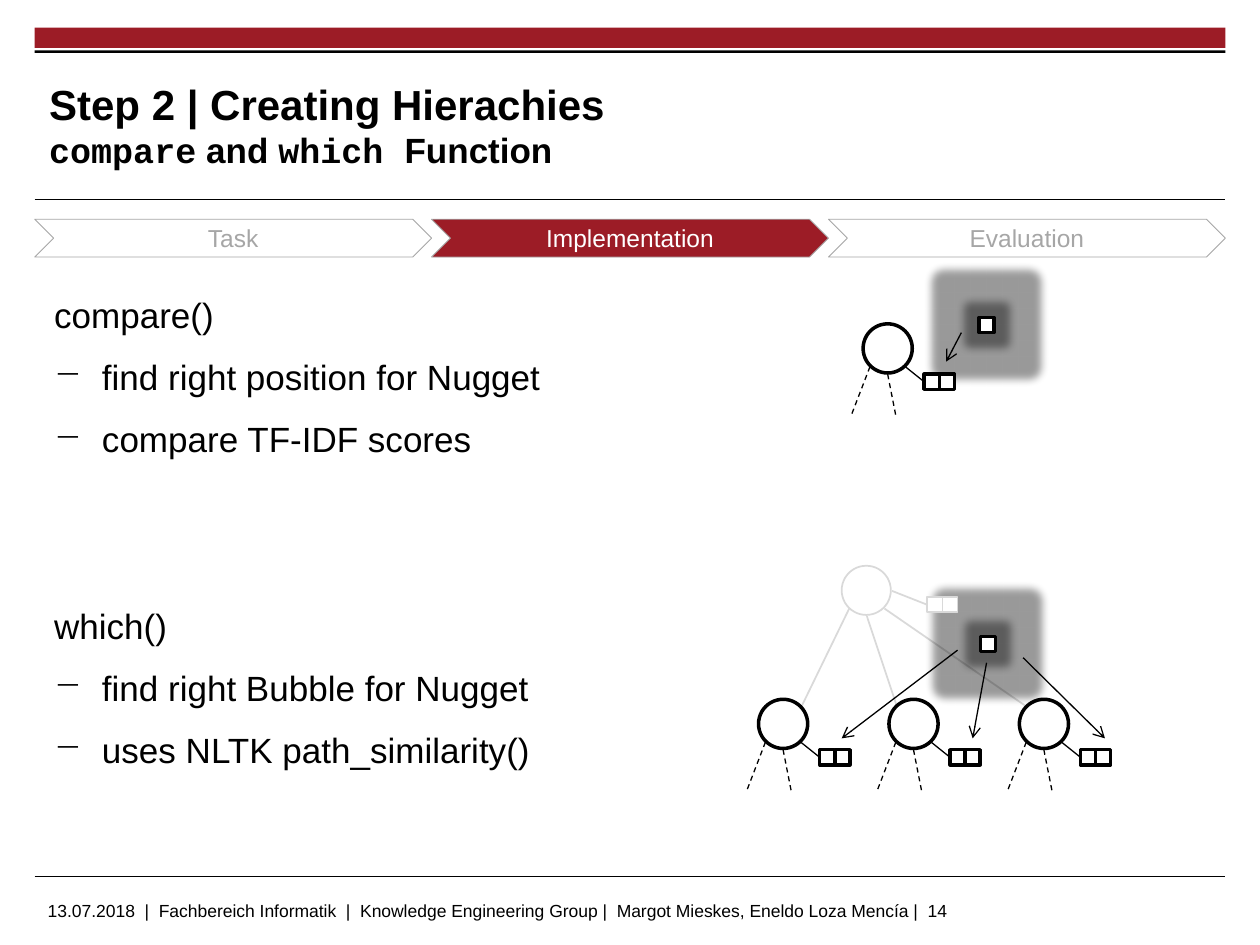
from dataclasses import dataclass

from lxml import etree
from pptx import Presentation
from pptx.dml.color import RGBColor
from pptx.enum.dml import MSO_LINE
from pptx.enum.shapes import MSO_CONNECTOR, MSO_SHAPE
from pptx.enum.text import MSO_ANCHOR, MSO_AUTO_SIZE, PP_ALIGN
from pptx.oxml.ns import qn
from pptx.util import Inches, Pt

RECT, ROUND = MSO_SHAPE.RECTANGLE, MSO_SHAPE.ROUNDED_RECTANGLE
OVAL, CHEVRON = MSO_SHAPE.OVAL, MSO_SHAPE.CHEVRON
STRAIGHT, DASH = MSO_CONNECTOR.STRAIGHT, MSO_LINE.DASH
MIDDLE, TOP = MSO_ANCHOR.MIDDLE, MSO_ANCHOR.TOP
LEFT, CENTER = PP_ALIGN.LEFT, PP_ALIGN.CENTER
NO_FIT = MSO_AUTO_SIZE.NONE

COLS, ROWS = 100, 75
NODE, LEAF = 3.9, 1.2  # diameter of a circle, side of a small square


@dataclass
class Theme:
    ink: str = "000000"
    paper: str = "FFFFFF"
    red: str = "9C1C26"
    grey: str = "A6A6A6"
    pale: str = "D9D9D9"
    sans: str = "Arial"
    mono: str = "Courier New"
    head: int = 24
    body: int = 20
    step: int = 14
    foot: int = 10
    hair: float = 0.75
    bold: float = 2


def add(parent, tag, **attrs):
    return etree.SubElement(parent, qn(tag), attrs)


class Board:
    """Draws on one slide; lengths are cells of a 100 by 75 grid."""

    def __init__(self, deck, theme):
        self.theme = theme
        self.slide = deck.slides.add_slide(deck.slide_layouts[5])
        self.shapes = self.slide.shapes
        self.wide, self.high = deck.slide_width, deck.slide_height

    def x(self, cols):
        return round(cols * self.wide / COLS)

    def y(self, rows):
        return round(rows * self.high / ROWS)

    def box(self, left, top, wide, high):
        return self.x(left), self.y(top), self.x(wide), self.y(high)

    def style(self, run, size, color=None, face=None, bold=False):
        font = run.font
        font.size, font.bold = Pt(size), bold
        font.name = face or self.theme.sans
        font.color.rgb = RGBColor.from_string(color or self.theme.ink)

    def shape(self, kind, area, fill, line=None, width=1):
        item = self.shapes.add_shape(kind, *self.box(*area))
        item.shadow.inherit = False
        item.fill.solid()
        item.fill.fore_color.rgb = RGBColor.from_string(fill)
        if line:
            item.line.color.rgb = RGBColor.from_string(line)
            item.line.width = Pt(width)
        else:
            item.line.fill.background()
        return item

    def line(self, start, end, color=None, width=None, dash=None, arrow=False):
        item = self.shapes.add_connector(
            STRAIGHT, self.x(start[0]), self.y(start[1]), self.x(end[0]), self.y(end[1]))
        item.line.color.rgb = RGBColor.from_string(color or self.theme.ink)
        item.line.width = Pt(width or self.theme.hair)
        if dash:
            item.line.dash_style = dash
        if arrow:
            add(item.line._get_or_add_ln(), "a:tailEnd", type="arrow")
        add(item._element.spPr, "a:effectLst")
        return item

    def frame(self, item, pads, anchor):
        text = item.text_frame
        text.word_wrap, text.auto_size = True, NO_FIT
        text.vertical_anchor = anchor
        text.margin_left = text.margin_right = Inches(pads[0])
        text.margin_top = text.margin_bottom = Inches(pads[1])
        return text

    def title(self, area, parts):
        """Fill the title from (text, size, face) parts."""
        item = self.shapes.title
        item.left, item.top, item.width, item.height = self.box(*area)
        para = self.frame(item, (0, 0), MIDDLE).paragraphs[0]
        para.alignment = LEFT
        for words, size, face in parts:
            if words is None:
                para.add_line_break()
                continue
            run = para.add_run()
            run.text = words
            self.style(run, size, face=face, bold=True)

    def body(self, area, blocks, gap):
        """Write headings, each with its dashed points below."""
        text = self.frame(self.shapes.add_textbox(*self.box(*area)), (0, 0.05), TOP)
        rows = [(words, spot) for block in blocks for spot, words in enumerate(block)]
        for count, (words, spot) in enumerate(rows):
            para = text.add_paragraph() if count else text.paragraphs[0]
            para.text = words
            para.line_spacing = 1.3
            para.space_before = Pt(gap if count and not spot else 2)
            para.space_after = Pt(2.3)
            self.style(para.runs[0], self.theme.body)
            props = para._p.get_or_add_pPr()
            dent = Inches(0.38 if spot else 0.2)
            props.set("marL", str(dent))
            props.set("indent", str(-dent))
            if spot:
                add(props, "a:buChar", char="−")
            else:
                add(props, "a:buNone")

    def foot(self, area, words):
        text = self.frame(self.shapes.add_textbox(*self.box(*area)), (0.1, 0), MIDDLE)
        text.text = words
        self.style(text.paragraphs[0].runs[0], self.theme.foot)

    def step(self, area, words, fill, color):
        item = self.shape(CHEVRON, area, fill, self.theme.grey, 0.5)
        item.text_frame.text = words
        item.text_frame.vertical_anchor = MIDDLE
        para = item.text_frame.paragraphs[0]
        para.alignment = CENTER
        self.style(para.runs[0], self.theme.step, color)

    def halo(self, mid, side):
        """Draw a soft, see-through dark patch."""
        area = (mid[0] - side / 2, mid[1] - side / 2, side, side)
        item = self.shape(ROUND, area, self.theme.ink)
        item.adjustments[0] = 0.1
        tint = item._element.spPr.find(qn("a:solidFill"))[0]
        add(tint, "a:alpha", val="40000")
        effects = item._element.spPr.find(qn("a:effectLst"))
        add(effects, "a:softEdge", rad=str(Pt(5)))

    def nugget(self, left, top):
        mid = left + LEAF / 2, top + LEAF / 2
        for side in (10, 5):
            self.halo(mid, side)
        self.leaf(left, top, self.theme.ink, self.theme.bold)

    def leaf(self, left, top, color, width):
        return self.shape(RECT, (left, top, LEAF, LEAF), self.theme.paper, color, width)

    def node(self, left, top, pair, stem, color, width, thin):
        """Draw a bubble joined to a pair of leaves; pair and stem are offsets."""
        self.shape(OVAL, (left, top, NODE, NODE), self.theme.paper, color, width)
        spot = left + pair[0], top + pair[1]
        first = self.leaf(*spot, color, width)
        self.leaf(spot[0] + LEAF, spot[1], color, width)
        link = self.line((left + stem[0], top + stem[1]), spot, color, thin)
        link.end_connect(first, 1)

    def tree(self, left, top):
        self.node(left, top, (4.85, 4), (3.35, 3.4),
                  self.theme.ink, self.theme.bold, self.theme.hair)
        for start, end in (((0.55, 3.4), (-0.95, 7.3)), ((1.95, 4), (2.6, 7.3))):
            self.line((left + start[0], top + start[1]),
                      (left + end[0], top + end[1]), dash=DASH)


def main():
    deck = Presentation()
    deck.slide_width, deck.slide_height = Inches(10), Inches(7.5)
    look = Theme()
    board = Board(deck, look)

    board.shape(RECT, (2.75, 2.2, 94.5, 1.6), look.red)
    board.shape(RECT, (2.75, 4, 94.5, 0.2), look.ink)
    for row in (15.85, 69.55):
        board.line((2.75, row), (97.25, row), width=0.6)
    board.foot((2.8, 71, 78.8, 2.5),
               "13.07.2018  |  Fachbereich Informatik  |  Knowledge Engineering Group |"
               "  Margot Mieskes, Eneldo Loza Mencía |  14")
    board.title((3.9, 5.3, 72.6, 9.2), [
        ("Step 2 | Creating Hierachies", look.head, look.sans), (None, 0, None),
        ("compare", look.body, look.mono), (" and ", look.body, look.sans),
        ("which ", look.body, look.mono), ("Function", look.body, look.sans)])

    for start, end in (((67.4, 48.3), (63.6, 56.1)), ((68.8, 48.9), (71.2, 56.1)),
                       ((70.2, 48.3), (81.5, 56.1))):
        board.line(start, end, look.pale, 1)
    board.body((4.3, 21.8, 93.3, 45), [
        ("compare()", "find right position for Nugget", "compare TF-IDF scores"),
        ("which()", "find right Bubble for Nugget", "uses NLTK path_similarity()"),
    ], gap=73)

    board.nugget(77.7, 25.2)
    board.tree(68.5, 25.7)
    board.nugget(77.8, 50.5)
    for spot in range(3):
        board.tree(60.2 + spot * 10.35, 55.5)
    board.node(66.8, 44.9, (6.8, 2.5), (4, 2), look.pale, 1, 1)
    for start, end in (((76.3, 26.4), (75.1, 28.7)), ((76, 51.6), (66.8, 58.6)),
                       ((78.3, 52.6), (77.2, 58.6)), ((81.2, 52.2), (87.7, 58.6))):
        board.line(start, end, arrow=True)

    for spot, words in enumerate(("Task", "Implementation", "Evaluation")):
        fill, color = (look.red, look.paper) if spot == 1 else (look.paper, look.grey)
        board.step((2.75 + spot * 31.5, 17.4, 31.5, 3), words, fill, color)

    deck.save("out.pptx")


if __name__ == "__main__":
    main()
